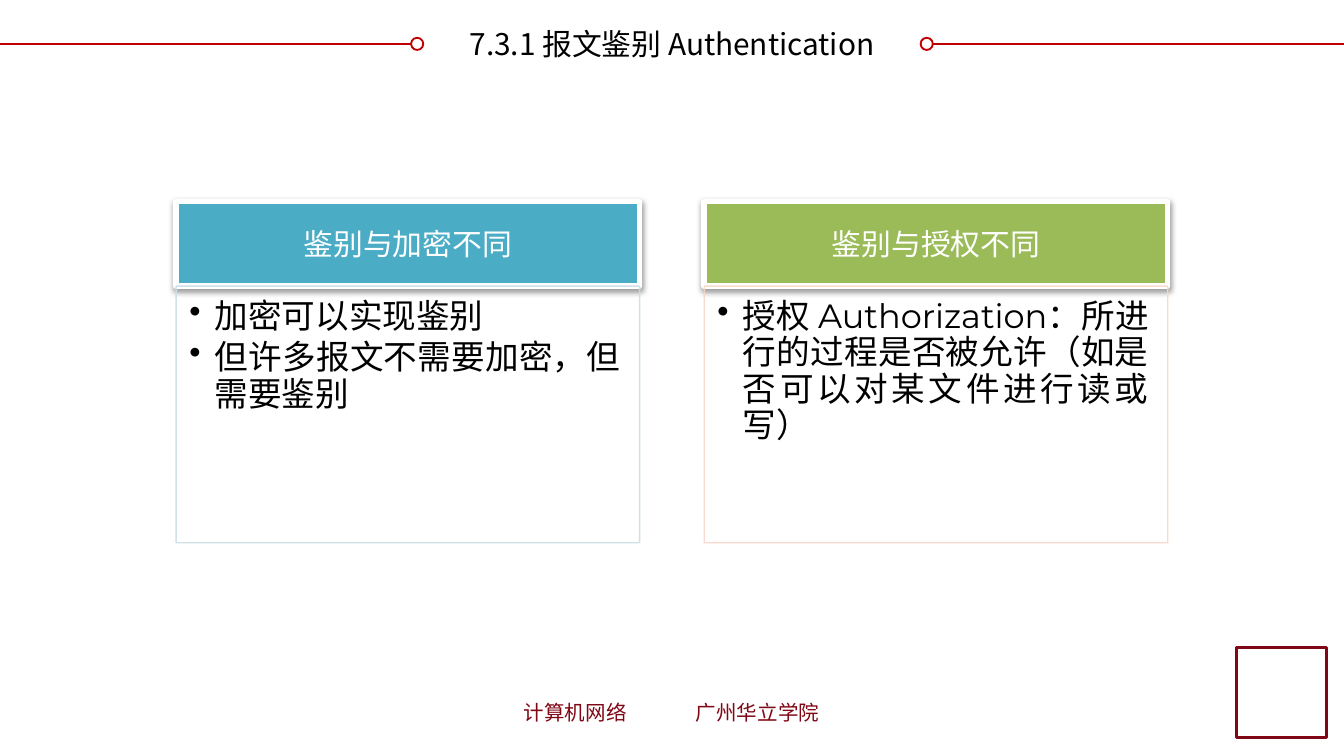
"""Build the slide that sets authentication apart from encryption and authorization."""
from dataclasses import dataclass

from lxml import etree
from pptx import Presentation
from pptx.dml.color import RGBColor
from pptx.enum.shapes import MSO_CONNECTOR, MSO_SHAPE
from pptx.enum.text import MSO_ANCHOR, PP_ALIGN
from pptx.oxml.ns import qn
from pptx.util import Cm, Pt

RECT, OVAL = MSO_SHAPE.RECTANGLE, MSO_SHAPE.OVAL
STRAIGHT = MSO_CONNECTOR.STRAIGHT
TOP, MIDDLE = MSO_ANCHOR.TOP, MSO_ANCHOR.MIDDLE
LEFT, CENTER, JUSTIFY = PP_ALIGN.LEFT, PP_ALIGN.CENTER, PP_ALIGN.JUSTIFY

WIDTH, HEIGHT = 25.4, 14.29
INSETS = (0.25, 0.13, 0.25, 0.13)


@dataclass(frozen=True)
class Theme:
    latin: str = "Montserrat"
    cjk: str = "Noto Sans CJK SC"
    text: str = "000000"
    paper: str = "FFFFFF"
    rule: str = "C00000"
    school: str = "800715"
    teal: str = "4BACC6"
    teal_edge: str = "CBDEE5"
    green: str = "9BBB59"
    green_edge: str = "F8D8C9"
    heading_size: int = 16
    body_size: int = 18
    footer_size: int = 11


def rgb(value):
    return RGBColor.from_string(value)


def add_xml(parent, tag, **attrs):
    return etree.SubElement(parent, qn(tag), attrs)


def write_text(tf, text, *, font, cjk, size, color, align=CENTER, anchor=MIDDLE,
               insets=INSETS, bullet=None, tab=None, spacing=None, after=None):
    tf.word_wrap = True
    tf.vertical_anchor = anchor
    tf.margin_left, tf.margin_top, tf.margin_right, tf.margin_bottom = map(Cm, insets)
    for i, line in enumerate(text.split("\n")):
        p = tf.add_paragraph() if i else tf.paragraphs[0]
        p.alignment = align
        if spacing:
            p.line_spacing = spacing
        if after:
            p.space_after = Pt(after)
        pPr = p._p.get_or_add_pPr()
        if bullet:
            pPr.set("marL", str(Cm(0.48)))
            pPr.set("indent", str(-Cm(0.48)))
            add_xml(pPr, "a:buChar", char=bullet)
        if tab:
            add_xml(add_xml(pPr, "a:tabLst"), "a:tab", pos=str(Cm(tab)), algn="l")
        r = p.add_run()
        r.text = line
        r.font.size = Pt(size)
        r.font.bold = False
        r.font.color.rgb = rgb(color)
        r.font.name = font
        add_xml(r._r.get_or_add_rPr(), "a:ea", typeface=cjk)


class SlideBuilder:
    """Draw styled elements on the current slide."""

    def __init__(self, slide, theme):
        self.slide = slide
        self.theme = theme

    def title(self, text, x, y, w, h):
        sp = self.slide.shapes.title
        sp.left, sp.top, sp.width, sp.height = map(Cm, (x, y, w, h))
        t = self.theme
        write_text(sp.text_frame, text, font=t.cjk, cjk=t.cjk,
                   size=t.heading_size, color=t.text)

    def footer(self, text, x, y, w, h, tab):
        sp = self.slide.shapes.add_textbox(*map(Cm, (x, y, w, h)))
        t = self.theme
        write_text(sp.text_frame, text, font=t.cjk, cjk=t.cjk, size=t.footer_size,
                   color=t.school, align=LEFT, anchor=TOP, tab=tab)

    def shape(self, kind, x, y, w, h, *, fill=None, line, weight):
        sp = self.slide.shapes.add_shape(kind, *map(Cm, (x, y, w, h)))
        sp.shadow.inherit = False
        if fill:
            sp.fill.solid()
            sp.fill.fore_color.rgb = rgb(fill)
        else:
            sp.fill.background()
        sp.line.color.rgb = rgb(line)
        sp.line.width = Pt(weight)
        return sp

    def rule(self, x1, x2, y):
        line = self.slide.shapes.add_connector(STRAIGHT, *map(Cm, (x1, y, x2, y)))
        line.line.color.rgb = rgb(self.theme.rule)
        line.line.width = Pt(1)
        add_xml(line._element.spPr, "a:effectLst")

    def ring(self, x, y, size):
        self.shape(OVAL, x, y - size / 2, size, size, fill=self.theme.paper,
                   line=self.theme.rule, weight=1)

    def drop_shadow(self, sp):
        effects = sp._element.spPr.find(qn("a:effectLst"))
        shadow = add_xml(effects, "a:outerShdw", blurRad=str(Pt(3.1)),
                         dist=str(Pt(1.6)), dir="5400000", rotWithShape="0")
        color = add_xml(shadow, "a:srgbClr", val=self.theme.text)
        add_xml(color, "a:alpha", val="38000")

    def card(self, heading, body, x, y, w, *, fill, edge, head_h=1.6, body_h=4.85):
        t = self.theme
        head = self.shape(RECT, x, y, w, head_h, fill=fill, line=t.paper, weight=3)
        self.drop_shadow(head)
        write_text(head.text_frame, heading, font=t.latin, cjk=t.cjk,
                   size=t.heading_size, color=t.paper, insets=(0.03,) * 4)
        panel = self.shape(RECT, x, y + head_h, w, body_h, line=edge, weight=0.75)
        color = panel.line.color._xFill.find(qn("a:srgbClr"))
        add_xml(color, "a:alpha", val="90000")
        write_text(panel.text_frame, body, font=t.latin, cjk=t.cjk, size=t.body_size,
                   color=t.text, align=JUSTIFY, anchor=TOP, bullet="•",
                   insets=(0.25, 0.25, 0.36, 0.4), spacing=0.9, after=2.7)


def main():
    prs = Presentation()
    prs.slide_width, prs.slide_height = Cm(WIDTH), Cm(HEIGHT)
    theme = Theme()
    s = SlideBuilder(prs.slides.add_slide(prs.slide_layouts[5]), theme)

    title_x, rule_y, ring = 8, 0.83, 0.23
    title_end = WIDTH - title_x
    s.title("7.3.1 报文鉴别 Authentication", title_x, 0.36, title_end - title_x, 0.94)
    s.rule(0, title_x, rule_y)
    s.rule(title_end, WIDTH, rule_y)
    s.ring(title_x - ring, rule_y, ring)
    s.ring(title_end, rule_y, ring)

    cards = [
        ("鉴别与加密不同", "加密可以实现鉴别\n但许多报文不需要加密，但需要鉴别",
         theme.teal, theme.teal_edge),
        ("鉴别与授权不同",
         "授权 Authorization：所进行的过程是否被允许（如是否可以对某文件进行读或写）",
         theme.green, theme.green_edge),
    ]
    margin, card_w = 3.33, 8.76
    pitch = WIDTH - 2 * margin - card_w
    for i, (heading, body, fill, edge) in enumerate(cards):
        s.card(heading, body, margin + i * pitch, 3.81, card_w, fill=fill, edge=edge)

    s.footer("计算机网络\t广州华立学院", 9.65, 13.1, 6.1, 0.74, tab=3.25)
    s.shape(RECT, 23.37, 12.24, 1.7, 1.7, fill=theme.paper, line=theme.school, weight=2)
    prs.save("out.pptx")


if __name__ == "__main__":
    main()
